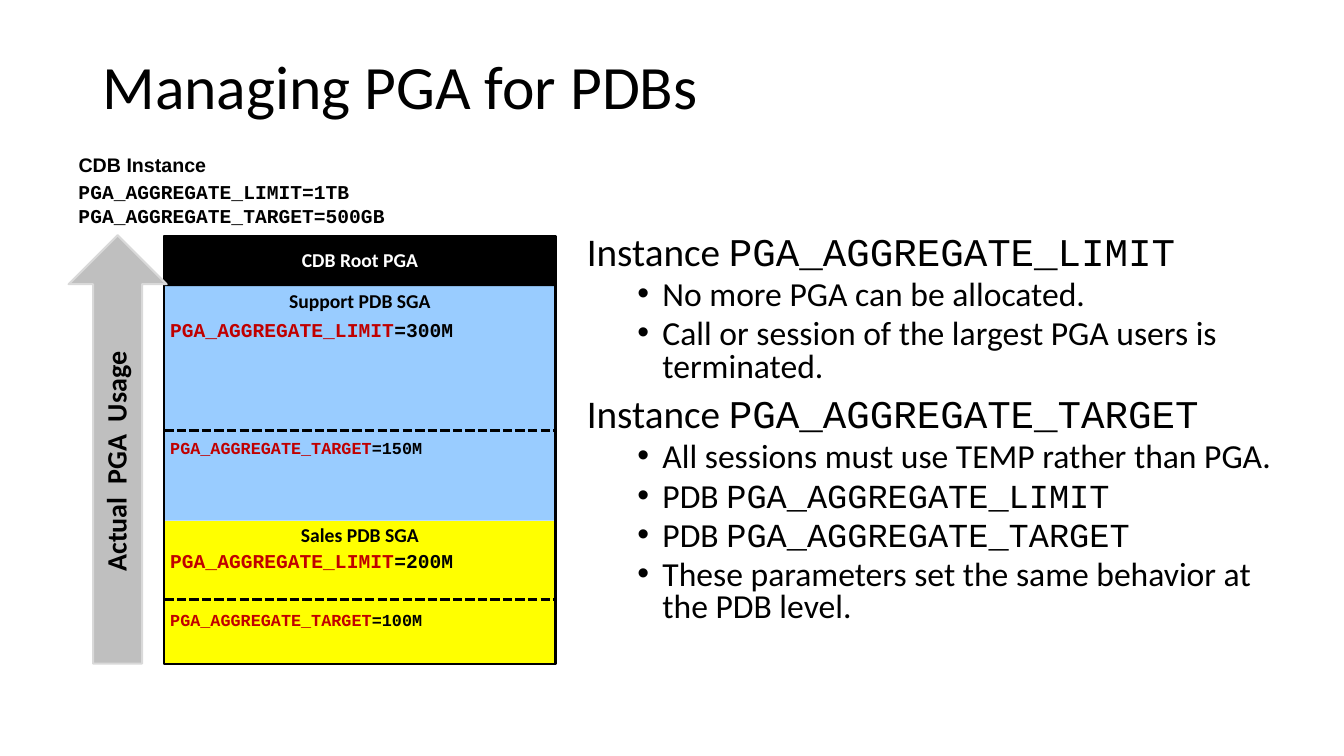
"""Build the slide on managing PGA memory for pluggable databases."""
import dataclasses
import typing

import lxml.etree
import pptx
import pptx.dml.color
import pptx.enum.dml
import pptx.enum.shapes
import pptx.enum.text
import pptx.oxml.ns
import pptx.util

Pt = pptx.util.Pt
RGBColor = pptx.dml.color.RGBColor
ALIGN = pptx.enum.text.PP_ALIGN
ANCHOR = pptx.enum.text.MSO_ANCHOR
SHAPE = pptx.enum.shapes.MSO_SHAPE
qn = pptx.oxml.ns.qn

BLACK = RGBColor(0x00, 0x00, 0x00)
WHITE = RGBColor(0xFF, 0xFF, 0xFF)
YELLOW = RGBColor(0xFF, 0xFF, 0x00)
BLUE = RGBColor(0x99, 0xCC, 0xFF)
RED = RGBColor(0xC0, 0x00, 0x00)
GRAY = RGBColor(0xBF, 0xBF, 0xBF)
LIGHT_GRAY = RGBColor(0xD9, 0xD9, 0xD9)

SANS = "Calibri"
MONO = "Courier New"
LIMIT = "PGA_AGGREGATE_LIMIT"
TARGET = "PGA_AGGREGATE_TARGET"
STACK_LEFT, STACK_TOP, STACK_WIDTH, STACK_HEIGHT = 117.4, 168.5, 279.4, 306.0


@dataclasses.dataclass(frozen=True)
class Run:
    text: str
    size: float
    font: str = SANS
    color: RGBColor = BLACK
    bold: bool = False


@dataclasses.dataclass(frozen=True)
class Block:
    left: float
    top: float
    width: float
    height: float
    runs: tuple[Run, ...] = ()
    fill: typing.Optional[RGBColor] = None
    line: typing.Optional[RGBColor] = None
    kind: SHAPE = SHAPE.RECTANGLE
    anchor: ANCHOR = ANCHOR.MIDDLE
    rotated: bool = False


@dataclasses.dataclass(frozen=True)
class Setting:
    top: float
    limit: str
    target: str
    gap: float


@dataclasses.dataclass(frozen=True)
class Point:
    level: int
    text: str
    parameter: str = ""


def band(top: float, height: float, label: str, fill: RGBColor,
         color: RGBColor = BLACK, anchor: ANCHOR = ANCHOR.TOP) -> Block:
    return Block(STACK_LEFT, top, STACK_WIDTH, height,
                 (Run(label, 14, color=color, bold=True),), fill, anchor=anchor)


BLOCKS = (
    band(372.2, 102.6, "Sales PDB SGA", YELLOW),
    band(204.5, 167.4, "Support PDB SGA", BLUE),
    band(STACK_TOP, 36, "CDB Root PGA", BLACK, WHITE, ANCHOR.MIDDLE),
    Block(STACK_LEFT, STACK_TOP, STACK_WIDTH, STACK_HEIGHT, line=BLACK),
    Block(49, 168, 70, STACK_HEIGHT, (Run("Actual  PGA  Usage", 20, bold=True),),
          GRAY, LIGHT_GRAY, SHAPE.UP_ARROW, rotated=True),
)
TARGET_LINES = (428.4, 307.4)
SETTINGS = (Setting(223.8, "=300M", "=150M", 68.2), Setting(388.8, "=200M", "=100M", 26.7))
POINTS = (
    Point(0, "Instance ", LIMIT),
    Point(1, "No more PGA can be allocated."),
    Point(1, "Call or session of the largest PGA users is terminated."),
    Point(0, "Instance ", TARGET),
    Point(1, "All sessions must use TEMP rather than PGA."),
    Point(1, "PDB ", LIMIT),
    Point(1, "PDB ", TARGET),
    Point(1, "These parameters set the same behavior at the PDB level."),
)


def place(shape, left: float, top: float, width: float, height: float) -> None:
    shape.left, shape.top, shape.width, shape.height = map(Pt, (left, top, width, height))


def add_runs(paragraph, runs: typing.Iterable[Run]) -> None:
    for item in runs:
        run = paragraph.add_run()
        run.text = item.text
        run.font.size = Pt(item.size)
        run.font.name = item.font
        run.font.bold = item.bold
        run.font.color.rgb = item.color


def next_paragraph(frame, index: int):
    return frame.add_paragraph() if index else frame.paragraphs[0]


def fill_title(title) -> None:
    place(title, 66, 28.8, 811, 70.6)
    title.text_frame.vertical_anchor = ANCHOR.MIDDLE
    paragraph = title.text_frame.paragraphs[0]
    paragraph.alignment = ALIGN.LEFT
    paragraph.line_spacing = 0.9
    add_runs(paragraph, [Run("Managing PGA for PDBs", 44)])


def fill_body(body) -> None:
    place(body, 412, 165, 514, 308)
    frame = body.text_frame
    frame.auto_size = pptx.enum.text.MSO_AUTO_SIZE.NONE
    frame.vertical_anchor = ANCHOR.TOP
    for index, point in enumerate(POINTS):
        paragraph = next_paragraph(frame, index)
        paragraph.level = point.level
        paragraph.line_spacing = 0.8
        paragraph.space_before = Pt(5 if point.level else 10)
        properties = paragraph._p.get_or_add_pPr()
        properties.set("marL", str(Pt(18 + 36 * point.level)))
        properties.set("indent", str(Pt(-18)))
        if point.level:
            lxml.etree.SubElement(properties, qn("a:buFont")).set("typeface", "Arial")
            lxml.etree.SubElement(properties, qn("a:buChar")).set("char", "•")
        else:
            lxml.etree.SubElement(properties, qn("a:buNone"))
        size = 24 if point.level else 28
        add_runs(paragraph, [Run(point.text, size)])
        if point.parameter:
            add_runs(paragraph, [Run(point.parameter, size, MONO)])


def add_block(slide, block: Block) -> None:
    shape = slide.shapes.add_shape(
        block.kind, *map(Pt, (block.left, block.top, block.width, block.height)))
    shape.shadow.inherit = False
    if block.fill is None:
        shape.fill.background()
    else:
        shape.fill.solid()
        shape.fill.fore_color.rgb = block.fill
    if block.line is None:
        shape.line.fill.background()
    else:
        shape.line.color.rgb = block.line
        shape.line.width = Pt(1.5)
    frame = shape.text_frame
    frame.vertical_anchor = block.anchor
    if block.rotated:
        frame._txBody.bodyPr.set("vert", "vert270")
    paragraph = frame.paragraphs[0]
    paragraph.alignment = ALIGN.CENTER
    paragraph.line_spacing = 0.9
    add_runs(paragraph, block.runs)


def add_text(slide, left: float, top: float, width: float, height: float,
             lines: typing.Sequence[typing.Sequence[Run]], gap: float = 0) -> None:
    frame = slide.shapes.add_textbox(*map(Pt, (left, top, width, height))).text_frame
    frame.word_wrap = True
    for index, runs in enumerate(lines):
        paragraph = next_paragraph(frame, index)
        paragraph.space_before = Pt(gap if index else 0)
        add_runs(paragraph, runs)


def add_target_line(slide, top: float) -> None:
    connector = slide.shapes.add_connector(
        pptx.enum.shapes.MSO_CONNECTOR.STRAIGHT,
        Pt(STACK_LEFT), Pt(top), Pt(STACK_LEFT + STACK_WIDTH), Pt(top))
    connector.line.color.rgb = BLACK
    connector.line.width = Pt(2.25)
    connector.line.dash_style = pptx.enum.dml.MSO_LINE.SQUARE_DOT
    lxml.etree.SubElement(connector._element.spPr, qn("a:effectLst"))


def parameter_runs(name: str, value: str, size: float) -> list[Run]:
    return [Run(name, size, MONO, RED, True), Run(value, size, MONO, BLACK, True)]


def main() -> None:
    presentation = pptx.Presentation()
    presentation.slide_width, presentation.slide_height = Pt(960), Pt(540)
    slide = presentation.slides.add_slide(presentation.slide_layouts[1])
    fill_title(slide.shapes.title)
    fill_body(slide.placeholders[1])
    for block in BLOCKS:
        add_block(slide, block)
    for top in TARGET_LINES:
        add_target_line(slide, top)
    add_text(slide, 49, 105.8, 173.5, 24.5, [[Run("CDB Instance", 14, "Arial", bold=True)]])
    add_text(slide, 49, 125.3, 235, 41, [
        [Run(text, 14, MONO, bold=True)] for text in (LIMIT + "=1TB", TARGET + "=500GB")])
    for setting in SETTINGS:
        add_text(slide, 114.5, setting.top, 289.4, 39 + setting.gap, [
            parameter_runs(LIMIT, setting.limit, 14),
            parameter_runs(TARGET, setting.target, 12)], setting.gap)
    presentation.save("out.pptx")


if __name__ == "__main__":
    main()
